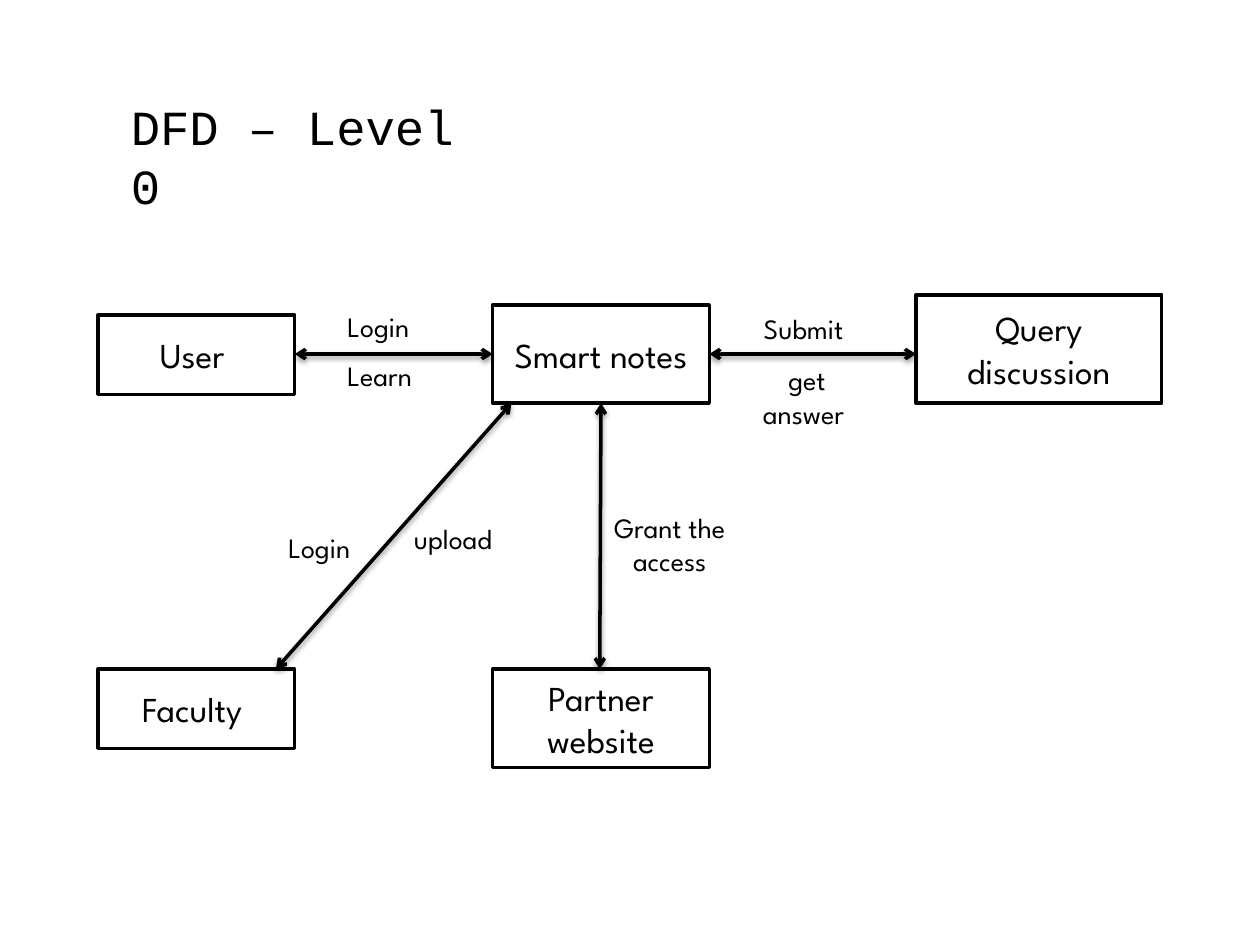
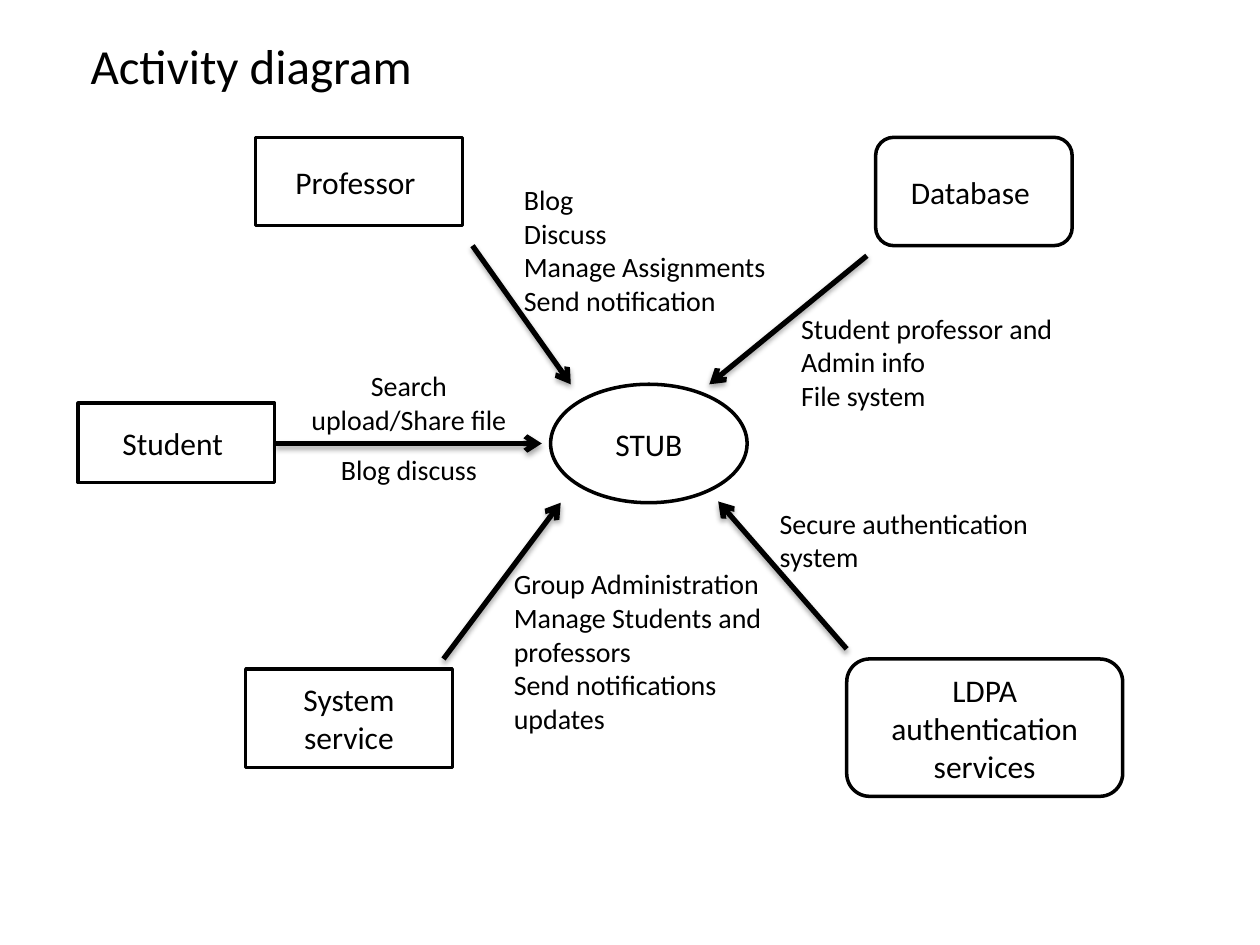
import lxml.etree
import pptx
import pptx.dml.color
import pptx.enum.shapes
import pptx.enum.text
import pptx.oxml.ns
import pptx.util

Inches = pptx.util.Inches
Pt = pptx.util.Pt
Shape = pptx.enum.shapes.MSO_SHAPE
Align = pptx.enum.text.PP_ALIGN
INK = "000000"
PAPER = "FFFFFF"
TITLE_SIZE = 28
LABEL_SIZE = 16


def color(hex_string):
    return pptx.dml.color.RGBColor.from_string(hex_string)


def add_element(parent, tag, **attributes):
    element = lxml.etree.SubElement(parent, pptx.oxml.ns.qn(tag))
    for name, value in attributes.items():
        element.set(name, str(value))
    return element


def write_text(frame, text, font, size, align):
    frame.word_wrap = True
    frame.text = text
    for paragraph in frame.paragraphs:
        paragraph.alignment = align
        for run in paragraph.runs:
            run.font.name = font
            run.font.size = Pt(size)
            run.font.color.rgb = color(INK)


def add_node(page, kind, box, text, font, size):
    """Draw one outlined entity with its name in the middle."""
    node = page.shapes.add_shape(kind, *map(Inches, box))
    node.shadow.inherit = False
    node.fill.solid()
    node.fill.fore_color.rgb = color(PAPER)
    node.line.color.rgb = color(INK)
    node.line.width = Pt(2)
    node.text_frame.vertical_anchor = pptx.enum.text.MSO_ANCHOR.MIDDLE
    write_text(node.text_frame, text, font, size, Align.CENTER)


def add_label(page, box, text, font, size=LABEL_SIZE, align=Align.LEFT):
    label = page.shapes.add_textbox(*map(Inches, box))
    write_text(label.text_frame, text, font, size, align)
    label.text_frame.auto_size = pptx.enum.text.MSO_AUTO_SIZE.SHAPE_TO_FIT_TEXT


def add_flow(page, start, end, width, both_ways, shadow_percent, shadow_distance):
    """Draw an arrow with a soft shadow straight below it."""
    flow = page.shapes.add_connector(
        pptx.enum.shapes.MSO_CONNECTOR.STRAIGHT, *map(Inches, start + end))
    flow.line.color.rgb = color(INK)
    flow.line.width = Pt(width)
    properties = flow._element.spPr
    outline = properties.find(pptx.oxml.ns.qn("a:ln"))
    if both_ways:
        add_element(outline, "a:headEnd", type="arrow")
    add_element(outline, "a:tailEnd", type="arrow")
    effects = add_element(properties, "a:effectLst")
    shadow = add_element(effects, "a:outerShdw", blurRad=int(Pt(3.1)),
                         dist=int(Pt(shadow_distance)), dir=90 * 60000, rotWithShape=0)
    shade = add_element(shadow, "a:srgbClr", val=INK)
    add_element(shade, "a:alpha", val=shadow_percent * 1000)


def build_data_flow(page):
    font = "League Spartan"
    left, middle, right = 0.78, 3.91, 7.27
    lower_row = 5.31
    for box, text in [
        ((left, 2.5, 1.56, 0.63), "User "),
        ((middle, 2.42, 1.72, 0.78), "Smart notes"),
        ((right, 2.34, 1.95, 0.86), "Query discussion"),
        ((middle, lower_row, 1.72, 0.78), "Partner website"),
        ((left, lower_row, 1.56, 0.63), "Faculty "),
    ]:
        add_node(page, Shape.RECTANGLE, box, text, font, 20)

    for start, end in [
        ((left + 1.56, 2.81), (middle, 2.81)),
        ((middle + 1.72, 2.81), (right, 2.81)),
        ((4.76, lower_row), (4.77, 3.2)),
        ((2.19, lower_row), (4.06, 3.2)),
    ]:
        add_flow(page, start, end, 2, True, 38, 1.6)

    for box, text, align in [
        ((2.66, 2.41, 0.94, 0.37), "Login", Align.LEFT),
        ((2.66, 2.8, 0.94, 0.37), "Learn", Align.LEFT),
        ((5.86, 2.42, 1.09, 0.37), "Submit ", Align.CENTER),
        ((5.86, 2.83, 1.09, 0.64), "get answer ", Align.CENTER),
        ((4.77, 4, 1.09, 0.91), "Grant the access", Align.CENTER),
        ((3.05, 4.09, 1.09, 0.37), "upload", Align.CENTER),
        ((2.19, 4.16, 0.94, 0.37), "Login", Align.LEFT),
    ]:
        add_label(page, box, text, font, align=align)
    add_label(page, (0.94, 0.72, 3.2, 0.57), "DFD – Level 0", "Courier New", TITLE_SIZE)


def build_activity(page):
    font = "Calibri"
    for kind, box, text in [
        (Shape.RECTANGLE, (2.03, 1.09, 1.64, 0.7), "Professor "),
        (Shape.RECTANGLE, (0.62, 3.2, 1.56, 0.63), "Student "),
        (Shape.RECTANGLE, (1.95, 5.31, 1.64, 0.78), "System service"),
        (Shape.OVAL, (4.37, 3.05, 1.56, 0.94), "STUB"),
        (Shape.ROUNDED_RECTANGLE, (6.95, 1.09, 1.56, 0.86), "Database "),
        (Shape.ROUNDED_RECTANGLE, (6.72, 5.23, 2.19, 1.09), "LDPA authentication services"),
    ]:
        add_node(page, kind, box, text, font, 18)

    for start, end in [
        ((2.19, 3.52), (4.3, 3.52)),
        ((3.75, 1.95), (4.53, 3.05)),
        ((3.52, 5.23), (4.45, 3.99)),
        ((6.72, 5.15), (5.7, 3.98)),
        ((6.88, 2.03), (5.63, 3.05)),
    ]:
        add_flow(page, start, end, 3, False, 35, 1.8)

    for box, text, align in [
        ((4.06, 1.4, 2.27, 1.18),
         "Blog\nDiscuss\nManage Assignments\nSend notification", Align.LEFT),
        ((2.27, 2.88, 1.95, 0.64), "Search upload/Share file", Align.CENTER),
        ((2.27, 3.54, 1.95, 0.37), "Blog discuss", Align.CENTER),
        ((3.98, 4.45, 2.34, 1.45),
         "Group Administration\nManage Students and professors\n"
         "Send notifications\nupdates", Align.LEFT),
        ((6.09, 3.97, 2.34, 0.64), "Secure authentication system", Align.LEFT),
        ((6.26, 2.42, 2.72, 0.91),
         "Student professor and Admin info\nFile system", Align.LEFT),
    ]:
        add_label(page, box, text, font, align=align)
    add_label(page, (0.62, 0.23, 2.89, 0.57), "Activity diagram", font, TITLE_SIZE)


def main():
    deck = pptx.Presentation()
    deck.slide_width = Inches(10)
    deck.slide_height = Inches(7.5)
    for build in (build_data_flow, build_activity):
        build(deck.slides.add_slide(deck.slide_layouts[6]))
    deck.save("out.pptx")


if __name__ == "__main__":
    main()
